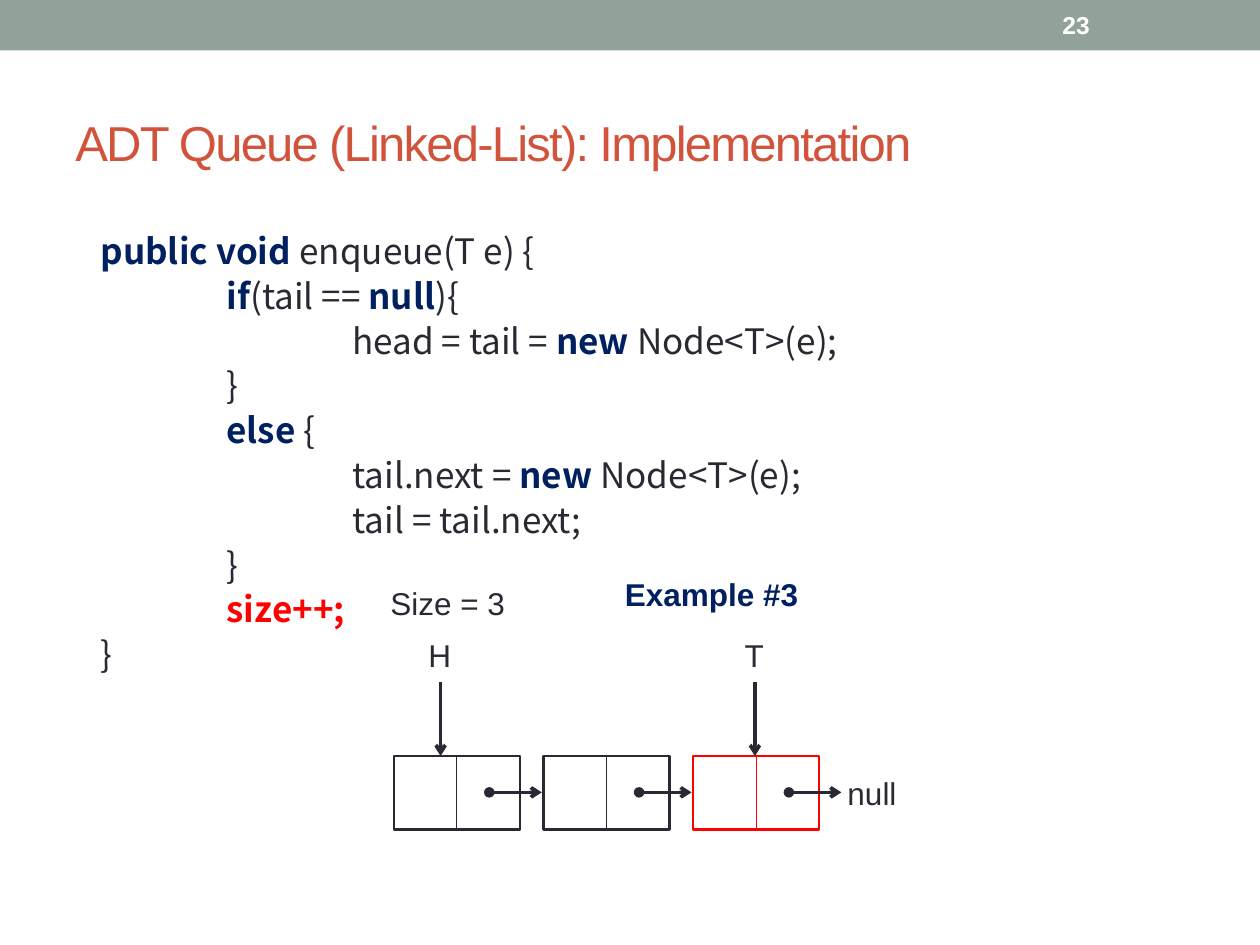
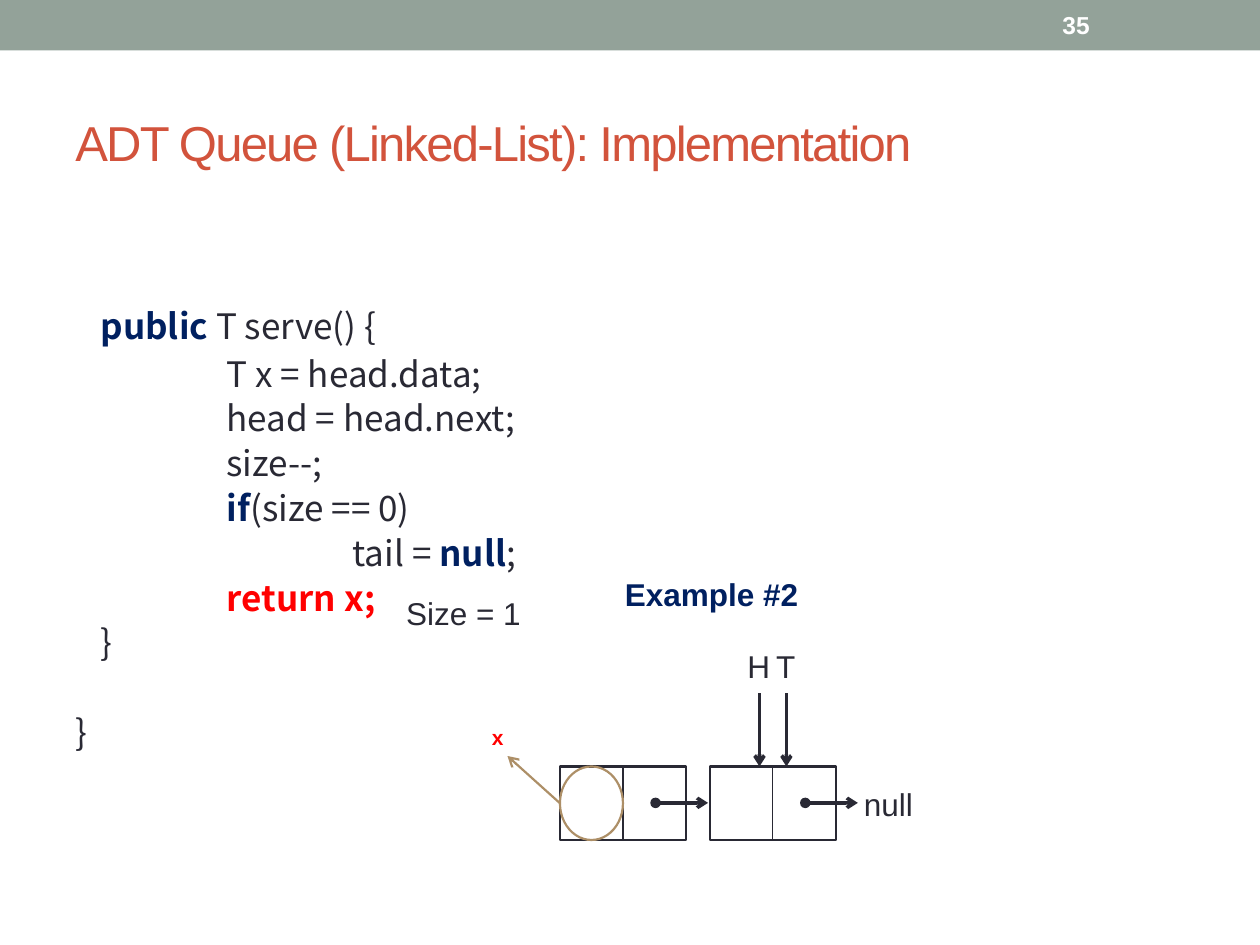
from lxml.etree import SubElement
from pptx import Presentation
from pptx.dml.color import RGBColor
from pptx.enum.shapes import MSO_CONNECTOR, MSO_SHAPE
from pptx.enum.text import MSO_ANCHOR, MSO_AUTO_SIZE
from pptx.oxml.ns import qn
from pptx.util import Pt

# Shared colours and fonts
BAND = RGBColor(0x93, 0xA2, 0x99)
TITLE = RGBColor(0xD2, 0x53, 0x3C)
INK = RGBColor(0x29, 0x29, 0x34)
NAVY = RGBColor(0x00, 0x20, 0x60)
RED = RGBColor(0xFF, 0x00, 0x00)
TAN = RGBColor(0xAD, 0x8F, 0x67)
WHITE = RGBColor(0xFF, 0xFF, 0xFF)
SANS = "Arial"
CODE = "Noto Sans CJK SC"

# Code layout
BODY_BOX = (36, 126, 648, 383.8)
LINE_HEIGHT = 25.6
FIRST_INDENT, TAB = 14.4, 72

# Node layout
NODE_WIDTH, NODE_HEIGHT, NODE_PITCH = 72, 42, 85.6
LINK_X, LINK_Y, LINK_LENGTH = 54.6, 20.8, 30
LABEL_HEIGHT = 28.8

# Code lines: (level, runs, space before); a run is (text, colour), coloured runs are bold
ENQUEUE = [
    (0, [("public void ", NAVY), ("enqueue(T e) {", INK)], 0),
    (1, [("if", NAVY), ("(tail == ", INK), ("null", NAVY), ("){", INK)], 0),
    (2, [("head = tail = ", INK), ("new ", NAVY), ("Node<T>(e);", INK)], 0),
    (1, [("}", INK)], 0),
    (1, [("else", NAVY), (" {", INK)], 0),
    (2, [("tail.next = ", INK), ("new ", NAVY), ("Node<T>(e);", INK)], 0),
    (2, [("tail = tail.next;", INK)], 0),
    (1, [("}", INK)], 0),
    (1, [("size++;", RED)], 0),
    (0, [("}", INK)], 0),
]
SERVE = [
    (0, [("public", NAVY), (" T serve() {", INK)], 0),
    (1, [("T x = head.data;", INK)], 1.8),
    (1, [("head = head.next;", INK)], 0),
    (1, [("size--;", INK)], 0),
    (1, [("if", NAVY), ("(size == 0)", INK)], 0),
    (2, [("tail = ", INK), ("null", NAVY), (";", INK)], 0),
    (1, [("return x;", RED)], 0),
    (0, [("}", INK)], 0),
    (None, [("}", INK)], LINE_HEIGHT),
]


def points(*lengths):
    return [Pt(length) for length in lengths]


def add_text(slide, box, text, size, color=INK, bold=False, wrap=False, anchor=MSO_ANCHOR.TOP):
    shape = slide.shapes.add_textbox(*points(*box))
    frame = shape.text_frame
    frame.word_wrap = wrap
    frame.auto_size = MSO_AUTO_SIZE.NONE if wrap else MSO_AUTO_SIZE.SHAPE_TO_FIT_TEXT
    frame.vertical_anchor = anchor
    paragraph = frame.paragraphs[0]
    paragraph.text = text
    font = paragraph.font
    font.name, font.size, font.bold = SANS, Pt(size), bold
    font.color.rgb = color
    return paragraph


def add_shape(slide, kind, box, fill=None, line=None):
    shape = slide.shapes.add_shape(kind, *points(*box))
    shape.shadow.inherit = False
    if fill is None:
        shape.fill.background()
    else:
        shape.fill.solid()
        shape.fill.fore_color.rgb = fill
    if line is None:
        shape.line.fill.background()
    else:
        shape.line.color.rgb = line
        shape.line.width = Pt(1.25)
    return shape


def add_line(slide, start, end, color=INK, width=2.0, head=None, tail=None):
    connector = slide.shapes.add_connector(MSO_CONNECTOR.STRAIGHT, *points(*start, *end))
    connector.line.color.rgb = color
    connector.line.width = Pt(width)
    properties = connector._element.spPr
    outline = properties.find(qn("a:ln"))
    for tag, kind in (("a:headEnd", head), ("a:tailEnd", tail)):
        if kind:
            SubElement(outline, qn(tag)).set("type", kind)
    SubElement(properties, qn("a:effectLst"))
    return connector


def add_frame(slide, number):
    """Top band, page number and title."""
    add_shape(slide, MSO_SHAPE.RECTANGLE, (0, 0, 720, 28.8), BAND)
    add_text(slide, (600, 1.4, 84, 26), number, 14, WHITE, True, True, MSO_ANCHOR.MIDDLE)
    title = add_text(slide, (36, 42, 648, 78), "ADT Queue (Linked-List): Implementation",
                     28, TITLE, wrap=True, anchor=MSO_ANCHOR.MIDDLE)
    title.runs[0].font._element.set("spc", "-100")


def add_code(slide, box, lines, top_inset):
    shape = slide.shapes.add_textbox(*points(*box))
    frame = shape.text_frame
    frame.word_wrap = True
    frame.margin_top = Pt(top_inset)
    for index, (level, runs, space) in enumerate(lines):
        paragraph = frame.paragraphs[0] if index == 0 else frame.add_paragraph()
        paragraph.line_spacing = Pt(LINE_HEIGHT)
        paragraph.space_before = Pt(space)
        paragraph.font.name, paragraph.font.size = CODE, Pt(20)
        indent = 0 if level is None else FIRST_INDENT + TAB * level
        paragraph._p.get_or_add_pPr().set("marL", str(Pt(indent)))
        for text, color in runs:
            run = paragraph.add_run()
            run.text = text
            run.font.color.rgb = color
            run.font.bold = color != INK


def add_node(slide, left, top, color):
    """Two-cell list node with its link to the next one."""
    node = add_shape(slide, MSO_SHAPE.RECTANGLE, (left, top, NODE_WIDTH, NODE_HEIGHT), WHITE, color)
    middle = left + NODE_WIDTH / 2
    add_line(slide, (middle, top), (middle, top + NODE_HEIGHT), color, 0.75)
    start = left + LINK_X
    add_line(slide, (start, top + LINK_Y), (start + LINK_LENGTH, top + LINK_Y),
             head="oval", tail="arrow")
    return node


def add_pointer(slide, name, width, x, top):
    """Named arrow that points down at a node."""
    add_text(slide, (x - width / 2, top - 72, width, LABEL_HEIGHT), name, 18)
    add_line(slide, (x, top - 42), (x, top), tail="arrow")


def add_list(slide, left, top, node_colors, head_x, tail_x):
    """Linked list with head and tail pointers, given relative to its left end."""
    nodes = [add_node(slide, left + NODE_PITCH * index, top, color)
             for index, color in enumerate(node_colors)]
    last = left + NODE_PITCH * (len(nodes) - 1)
    add_text(slide, (last + 81, top + 7, 47.5, LABEL_HEIGHT), "null", 18)
    add_pointer(slide, "H", 28, left + head_x, top)
    add_pointer(slide, "T", 26, left + tail_x, top)
    return nodes


def add_captions(slide, size_box, size, example):
    add_text(slide, (*size_box, 88, LABEL_HEIGHT), size, 18)
    add_text(slide, (350, 325, 118, LABEL_HEIGHT), example, 18, NAVY, True)


def add_served_value(slide, node, left, top):
    """Ring around the served cell and an arrow to x."""
    add_shape(slide, MSO_SHAPE.OVAL, (left, top, NODE_WIDTH / 2, NODE_HEIGHT), line=TAN)
    arrow = add_line(slide, (left, top + NODE_HEIGHT / 2), (left - 30, top - 6),
                     TAN, 1.25, tail="arrow")
    arrow.begin_connect(node, 1)
    add_text(slide, (left - 46, top - 27.6, 22, 21.8), "x", 12, RED, True)


def build_enqueue(slide):
    add_frame(slide, "23")
    add_code(slide, BODY_BOX, ENQUEUE, 3.6)
    add_list(slide, 225, 432, [INK, INK, RED], 26.8, 206.4)
    add_captions(slide, (216, 330), "Size = 3", "Example #3")


def build_serve(slide):
    left, top = 320, 438
    add_frame(slide, "35")
    add_code(slide, BODY_BOX, SERVE, 46.2)
    nodes = add_list(slide, left, top, [INK, INK], 114, 129.4)
    add_served_value(slide, nodes[0], left, top)
    add_captions(slide, (225, 336), "Size = 1", "Example #2")


def main():
    presentation = Presentation()
    presentation.slide_width, presentation.slide_height = points(720, 540)
    for build in (build_enqueue, build_serve):
        build(presentation.slides.add_slide(presentation.slide_layouts[6]))
    presentation.save("out.pptx")


if __name__ == "__main__":
    main()
